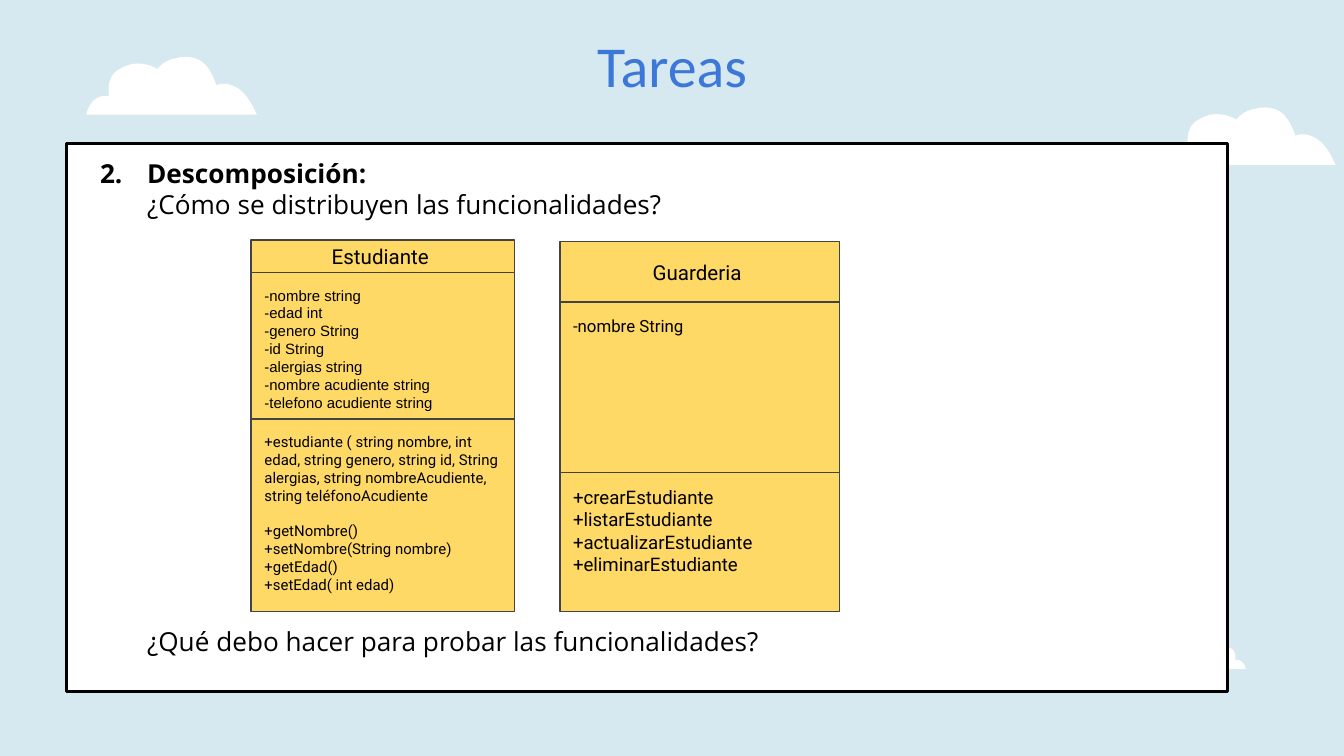
from dataclasses import dataclass
from typing import Any

from lxml.etree import SubElement
from pptx import Presentation
from pptx.dml.color import RGBColor
from pptx.enum.shapes import MSO_SHAPE
from pptx.enum.text import MSO_ANCHOR, MSO_AUTO_SIZE, PP_ALIGN
from pptx.oxml.ns import qn
from pptx.util import Pt

COLORS = {
    "sky": "D6E8F0", "white": "FFFFFF", "title": "3C78D8",
    "black": "000000", "class": "FFD966", "border": "434343",
}
INSET = 7.2
CLOUD_UNIT = 0.72  # points per unit of a cloud outline

# The first row is the start; rows of two are line ends,
# rows of six are two Bézier controls and an end.
LARGE_CLOUD = [
    (74, 0),
    (72, 0, 70, 0, 67, 1), (58, 2, 53, 9, 53, 9), (53, 9, 47, 5, 38, 5),
    (34, 5, 30, 6, 25, 9), (14, 14, 17, 29, 17, 29), (17, 29, 16, 29, 14, 29),
    (10, 29, 3, 31, 0, 43), (127, 43),
    (126, 42, 119, 20, 102, 20), (101, 20, 99, 20, 97, 21), (92, 8, 87, 0, 74, 0),
]
SMALL_CLOUD = [
    (25, 0),
    (19, 0, 16, 4, 14, 9), (13, 9, 12, 9, 12, 9), (3, 9, 0, 20, 0, 20),
    (60, 20), (59, 14, 55, 13, 53, 13), (53, 13, 52, 14, 52, 14),
    (52, 14, 54, 6, 48, 4), (46, 3, 44, 2, 42, 2), (38, 2, 35, 4, 35, 4),
    (35, 4, 33, 0, 28, 0), (27, 0, 26, 0, 25, 0),
]


@dataclass
class Cloud:
    left: float
    top: float
    outline: list[tuple[int, ...]]


@dataclass
class Line:
    text: str
    space_before: float = 0


@dataclass
class Compartment:
    height: float
    lines: list[Line]
    size: float
    font: str = "Roboto"
    heading: bool = False


@dataclass
class ClassBox:
    left: float
    top: float
    width: float
    compartments: list[Compartment]


CLOUDS = [
    Cloud(624.24, 57.6, LARGE_CLOUD),
    Cloud(46.2, 30.5, LARGE_CLOUD),
    Cloud(624.24, 344.16, SMALL_CLOUD),
]
CLASS_BOXES = [
    ClassBox(134.6, 128.7, 141.1, [
        Compartment(17.4, [Line("Estudiante ")], 11, heading=True),
        Compartment(78.4, [
            Line("-nombre string"), Line("-edad int"), Line("-genero String"),
            Line("-id String"), Line("-alergias string"),
            Line("-nombre acudiente string"), Line("-telefono acudiente string"),
        ], 8, "Arial"),
        Compartment(103, [
            Line("+estudiante ( string nombre, int edad, string genero, string id, "
                 "String alergias, string nombreAcudiente, string teléfonoAcudiente"),
            Line("+getNombre()", 9.4), Line("+setNombre(String nombre)"),
            Line("+getEdad()"), Line("+setEdad( int edad)"),
        ], 8),
    ]),
    ClassBox(299.9, 129.4, 149.8, [
        Compartment(32.4, [Line("Guarderia ")], 11, heading=True),
        Compartment(91.3, [Line("-nombre String")], 9),
        Compartment(74.4, [
            Line("+crearEstudiante"), Line("+listarEstudiante"),
            Line("+actualizarEstudiante +eliminarEstudiante"),
        ], 10),
    ]),
]
PANEL_LINES = [
    Line("Descomposición:"),
    Line("¿Cómo se distribuyen las funcionalidades?"),
    Line("¿Qué debo hacer para probar las funcionalidades?", 217),
]


def rgb(name: str) -> RGBColor:
    return RGBColor.from_string(COLORS[name])


def set_values(target: Any, values: dict[str, Any]) -> None:
    for name, value in values.items():
        setattr(target, name, value)


def place(shape, left: float, top: float, width: float, height: float) -> None:
    set_values(shape, {"left": Pt(left), "top": Pt(top),
                       "width": Pt(width), "height": Pt(height)})


def paint(shape, fill: str, border: str, weight: float) -> None:
    shape.fill.solid()
    shape.fill.fore_color.rgb = rgb(fill)
    shape.line.color.rgb = rgb(border)
    shape.line.width = Pt(weight)


def write(shape, lines: list[Line], font: str, size: float, color: str = "black",
          alignment=PP_ALIGN.LEFT, anchor=MSO_ANCHOR.TOP) -> None:
    frame = shape.text_frame
    set_values(frame, {"word_wrap": True, "auto_size": MSO_AUTO_SIZE.NONE,
                       "vertical_anchor": anchor})
    set_values(frame, {f"margin_{side}": Pt(INSET)
                       for side in ("left", "top", "right", "bottom")})
    for index, line in enumerate(lines):
        paragraph = frame.paragraphs[0] if index == 0 else frame.add_paragraph()
        set_values(paragraph, {"alignment": alignment, "line_spacing": 1.0,
                               "space_before": Pt(line.space_before)})
        run = paragraph.add_run()
        run.text = line.text
        set_values(run.font, {"name": font, "size": Pt(size), "bold": False})
        run.font.color.rgb = rgb(color)


def draw_cloud(slide, cloud: Cloud) -> None:
    """Build the outline through all its points, then join controls into curves."""
    vertices = [(Pt(cloud.left + row[i] * CLOUD_UNIT), Pt(cloud.top + row[i + 1] * CLOUD_UNIT))
                for row in cloud.outline for i in range(0, len(row), 2)]
    builder = slide.shapes.build_freeform(*vertices[0])
    builder.add_line_segments(vertices[1:], close=True)
    shape = builder.convert_to_shape()
    segments = iter(list(shape.element.iter(qn("a:lnTo"))))
    for row in cloud.outline[1:]:
        segment = next(segments)
        if len(row) == 6:
            curve = SubElement(segment.getparent(), qn("a:cubicBezTo"))
            segment.addprevious(curve)
            for part in (segment, next(segments), next(segments)):
                curve.append(part[0])
                part.getparent().remove(part)
    shape.shadow.inherit = False
    shape.fill.solid()
    shape.fill.fore_color.rgb = rgb("white")
    shape.line.fill.background()


def draw_class_box(slide, box: ClassBox) -> None:
    top = box.top
    for part in box.compartments:
        shape = slide.shapes.add_shape(MSO_SHAPE.RECTANGLE, Pt(box.left), Pt(top),
                                       Pt(box.width), Pt(part.height))
        shape.shadow.inherit = False
        paint(shape, "class", "border", 0.75)
        write(shape, part.lines, part.font, part.size,
              alignment=PP_ALIGN.CENTER if part.heading else PP_ALIGN.LEFT,
              anchor=MSO_ANCHOR.MIDDLE if part.heading else MSO_ANCHOR.TOP)
        top += part.height


def fill_panel(panel) -> None:
    place(panel, 35.6, 77, 622.1, 293.5)
    paint(panel, "white", "black", 1.5)
    write(panel, PANEL_LINES, "Open Sans", 14)
    for index, paragraph in enumerate(panel.text_frame.paragraphs):
        numbered = index == 0
        paragraph.runs[0].font.bold = numbered
        properties = paragraph._p.get_or_add_pPr()
        properties.set("marL", str(Pt(36)))
        properties.set("indent", str(Pt(-25.2 if numbered else 0)))
        if numbered:
            SubElement(properties, qn("a:buFont"), typeface="Open Sans")
            SubElement(properties, qn("a:buAutoNum"), type="arabicPeriod", startAt="2")
        else:
            SubElement(properties, qn("a:buNone"))


def main() -> None:
    presentation = Presentation()
    set_values(presentation, {"slide_width": Pt(720), "slide_height": Pt(405)})
    slide = presentation.slides.add_slide(presentation.slide_layouts[1])
    slide.background.fill.solid()
    slide.background.fill.fore_color.rgb = rgb("sky")

    for cloud in CLOUDS:
        draw_cloud(slide, cloud)

    title, panel = slide.placeholders
    for placeholder in (title, panel):
        slide.shapes.element.append(placeholder.element)  # in front of the clouds
    place(title, 55.1, 8.6, 609.8, 43.9)
    write(title, [Line("Tareas")], "Calibri", 31, "title", PP_ALIGN.CENTER)
    fill_panel(panel)

    for box in CLASS_BOXES:
        draw_class_box(slide, box)
    presentation.save("out.pptx")


if __name__ == "__main__":
    main()
